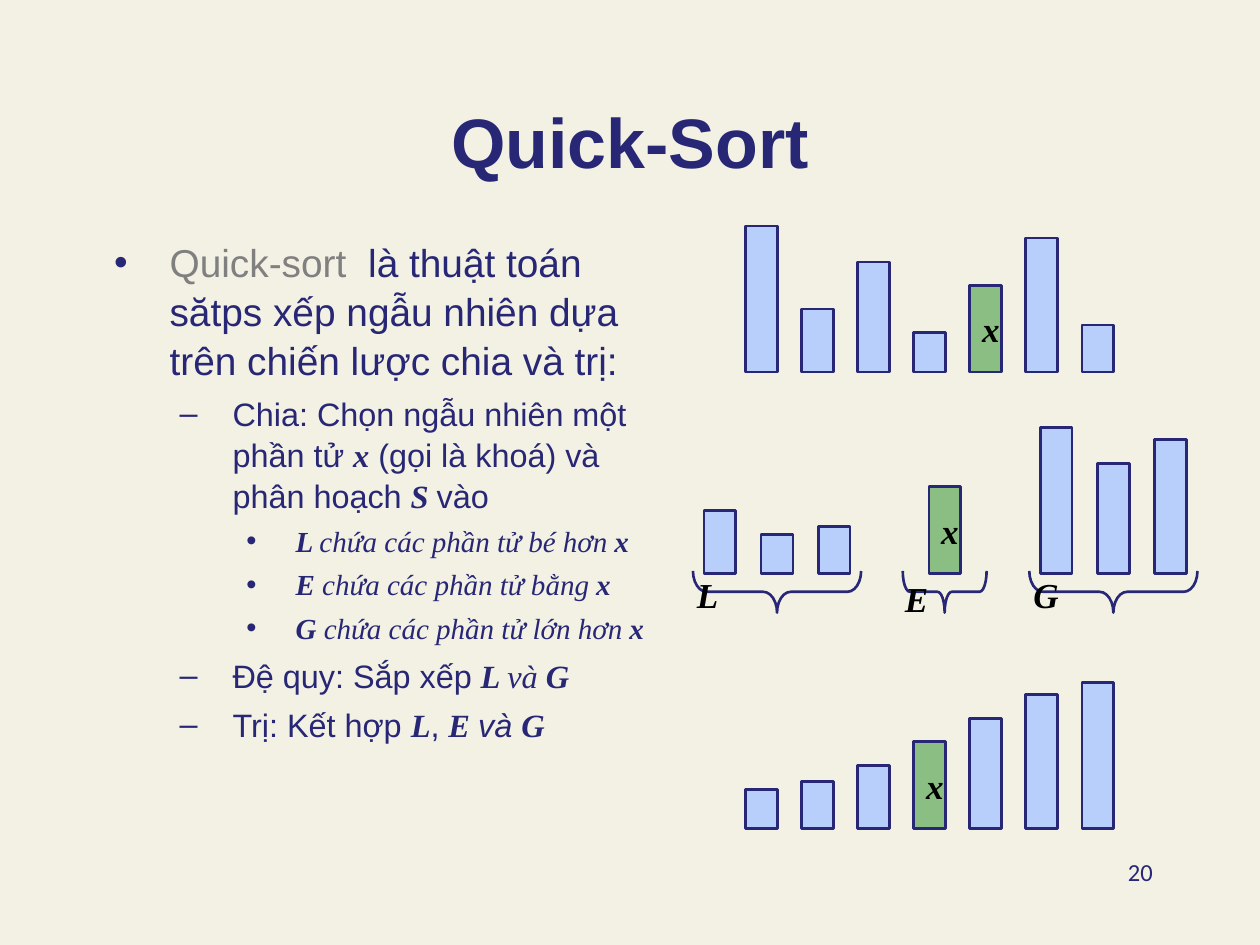
from lxml import etree
from pptx import Presentation
from pptx import util as u
from pptx.dml import color
from pptx.enum import shapes, text
from pptx.oxml import ns

COLORS = {"ground": "F3F1E4", "ink": "272776", "term": "808080",
          "bar": "B8CFFB", "pivot": "8BBE82", "label": "000000"}
STYLES = {"plain": ("Arial", False, False, "ink"),
          "slanted": ("Arial", False, True, "ink"),
          "term": ("Arial", False, False, "term"),
          "set": ("Times New Roman", True, True, "ink"),
          "serif": ("Times New Roman", False, True, "ink"),
          "label": ("Times New Roman", True, True, "label"),
          "title": ("Arial", True, False, "ink"),
          "number": ("Calibri", False, False, "ink")}
LEVELS = [("•", 1.27, -1.12, 22.2, 5.6),
          ("–", 2.54, -1.07, 18.5, 4.8),
          ("•", 3.81, -0.99, 16.6, 4)]
OUTLINE = [
    (0, [("Quick-sort  ", "term"),
         ("là thuật toán sătps xếp ngẫu nhiên dựa trên chiến lược chia và trị:", "plain")]),
    (1, [("Chia: Chọn ngẫu nhiên một phần tử ", "plain"), ("x", "set"),
         (" (gọi là khoá) và phân hoạch ", "plain"), ("S ", "set"), ("vào", "plain")]),
    (2, [("L ", "set"), ("chứa các phần tử bé hơn ", "serif"), ("x", "set")]),
    (2, [("E ", "set"), ("chứa các phần tử bằng ", "serif"), ("x", "set")]),
    (2, [("G ", "set"), ("chứa các phần tử lớn hơn ", "serif"), ("x", "set")]),
    (1, [("Đệ quy: Sắp xếp ", "plain"), ("L ", "set"), ("và", "serif"), (" G", "set")]),
    (1, [("Trị: Kết hợp ", "plain"), ("L", "set"), (", ", "plain"), ("E ", "set"),
         ("và ", "slanted"), ("G", "set")])]
BAR_HEIGHTS = {1: 0.79, 2: 0.95, 3: 1.27, 4: 1.75, 5: 2.22, 6: 2.7, 7: 2.94}
PIVOT = 4
BAR_WIDTH = 0.64
BRACE_DEPTH = 0.84


def rgb(name):
    """Return the named palette colour."""
    return color.RGBColor.from_string(COLORS[name])


def style_run(run, style, size):
    """Give a run one of the named text styles."""
    name, bold, italic, ink = STYLES[style]
    run.font.name, run.font.size = name, u.Pt(size)
    run.font.bold, run.font.italic = bold, italic
    run.font.color.rgb = rgb(ink)


def write_line(frame, words, style, size, align):
    """Write a single styled line into a text frame."""
    frame.text = words
    line = frame.paragraphs[0]
    line.alignment = align
    style_run(line.runs[0], style, size)


def add_bullet(paragraph, mark):
    """Put a coloured bullet mark on a paragraph."""
    props = paragraph._p.get_or_add_pPr()
    tint = etree.SubElement(props, ns.qn("a:buClr"))
    etree.SubElement(tint, ns.qn("a:srgbClr"), val=COLORS["ink"])
    etree.SubElement(props, ns.qn("a:buFont"), typeface="Arial")
    etree.SubElement(props, ns.qn("a:buChar"), char=mark)


def place_title(slide, left, top, width, height):
    """Move and format the title placeholder."""
    title = slide.shapes.title
    title.left, title.top, title.width, title.height = map(u.Cm, (left, top, width, height))
    title.text_frame.vertical_anchor = text.MSO_ANCHOR.BOTTOM
    write_line(title.text_frame, "Quick-Sort", "title", 40, text.PP_ALIGN.CENTER)


def place_outline(slide, left, top, width, height):
    """Write the bulleted description of the algorithm."""
    frame = slide.shapes.add_textbox(*map(u.Cm, (left, top, width, height))).text_frame
    frame.word_wrap = True
    frame.margin_right = u.Cm(0.15)
    for index, (level, pieces) in enumerate(OUTLINE):
        item = frame.add_paragraph() if index else frame.paragraphs[0]
        mark, margin, indent, size, before = LEVELS[level]
        item.level = level
        item.line_spacing, item.space_before = 1.05, u.Pt(before)
        props = item._p.get_or_add_pPr()
        props.set("marL", str(u.Cm(margin)))
        props.set("indent", str(u.Cm(indent)))
        add_bullet(item, mark)
        for words, style in pieces:
            run = item.add_run()
            run.text = words
            style_run(run, style, size)


def add_outlined(slide, kind, left, top, width, height):
    """Add a shape with the common outline and no shadow."""
    shape = slide.shapes.add_shape(kind, *map(u.Cm, (left, top, width, height)))
    shape.shadow.inherit = False
    shape.line.color.rgb = rgb("ink")
    shape.line.width = u.Pt(1.5)
    return shape


def place_bars(slide, left, baseline, pitch, ranks):
    """Stand one bar per rank on the baseline, marking the pivot with x."""
    for index, rank in enumerate(ranks):
        tall = BAR_HEIGHTS[rank]
        bar = add_outlined(slide, shapes.MSO_SHAPE.RECTANGLE,
                           left + index * pitch, baseline - tall, BAR_WIDTH, tall)
        bar.fill.solid()
        bar.fill.fore_color.rgb = rgb("pivot" if rank == PIVOT else "bar")
        if rank == PIVOT:
            bar.text_frame.word_wrap = False
            write_line(bar.text_frame, "x", "label", 20, text.PP_ALIGN.LEFT)


def place_partition(slide, left, baseline, width, ranks, name, curl):
    """Centre a group of bars over a labelled brace."""
    pitch = 1.15
    group = (len(ranks) - 1) * pitch + BAR_WIDTH
    place_bars(slide, left + (width - group) / 2, baseline, pitch, ranks)
    brace = add_outlined(slide, shapes.MSO_SHAPE.LEFT_BRACE,
                         left + (width - BRACE_DEPTH) / 2,
                         baseline - 0.05 + (BRACE_DEPTH - width) / 2, BRACE_DEPTH, width)
    brace.rotation = 270
    brace.adjustments[0] = curl
    brace.fill.background()
    frame = brace.text_frame
    frame.word_wrap = False
    frame.vertical_anchor = text.MSO_ANCHOR.TOP
    frame.margin_left, frame.margin_right = u.Cm(0.25), u.Cm(1.52)
    frame.margin_top = frame.margin_bottom = 0
    frame._txBody.bodyPr.set("vert", "eaVert")
    write_line(frame, name, "label", 20, text.PP_ALIGN.LEFT)


def place_number(slide, left, top, width, height):
    """Write the slide number at the right of its box."""
    frame = slide.shapes.add_textbox(*map(u.Cm, (left, top, width, height))).text_frame
    frame.word_wrap = True
    write_line(frame, "20", "number", 14, text.PP_ALIGN.RIGHT)


def main():
    """Build and save the slide."""
    deck = Presentation()
    deck.slide_width, deck.slide_height = u.Cm(25.4), u.Cm(19.05)
    slide = deck.slides.add_slide(deck.slide_layouts[5])
    slide.background.fill.solid()
    slide.background.fill.fore_color.rgb = rgb("ground")
    place_title(slide, 1.9, 1.27, 21.6, 2.54)
    place_outline(slide, 1.9, 4.65, 11.43, 12.7)
    place_bars(slide, 15.03, 7.5, 1.13, [7, 3, 5, 1, 4, 6, 2])
    place_partition(slide, 13.97, 11.56, 3.39, [3, 1, 2], "L", 0.33)
    place_partition(slide, 18.2, 11.56, 1.69, [4], "E", 0.17)
    place_partition(slide, 20.75, 11.56, 3.39, [7, 5, 6], "G", 0.33)
    place_bars(slide, 15.03, 16.7, 1.13, sorted(BAR_HEIGHTS))
    place_number(slide, 18.21, 17.15, 5.28, 1.27)
    deck.save("out.pptx")


if __name__ == "__main__":
    main()
